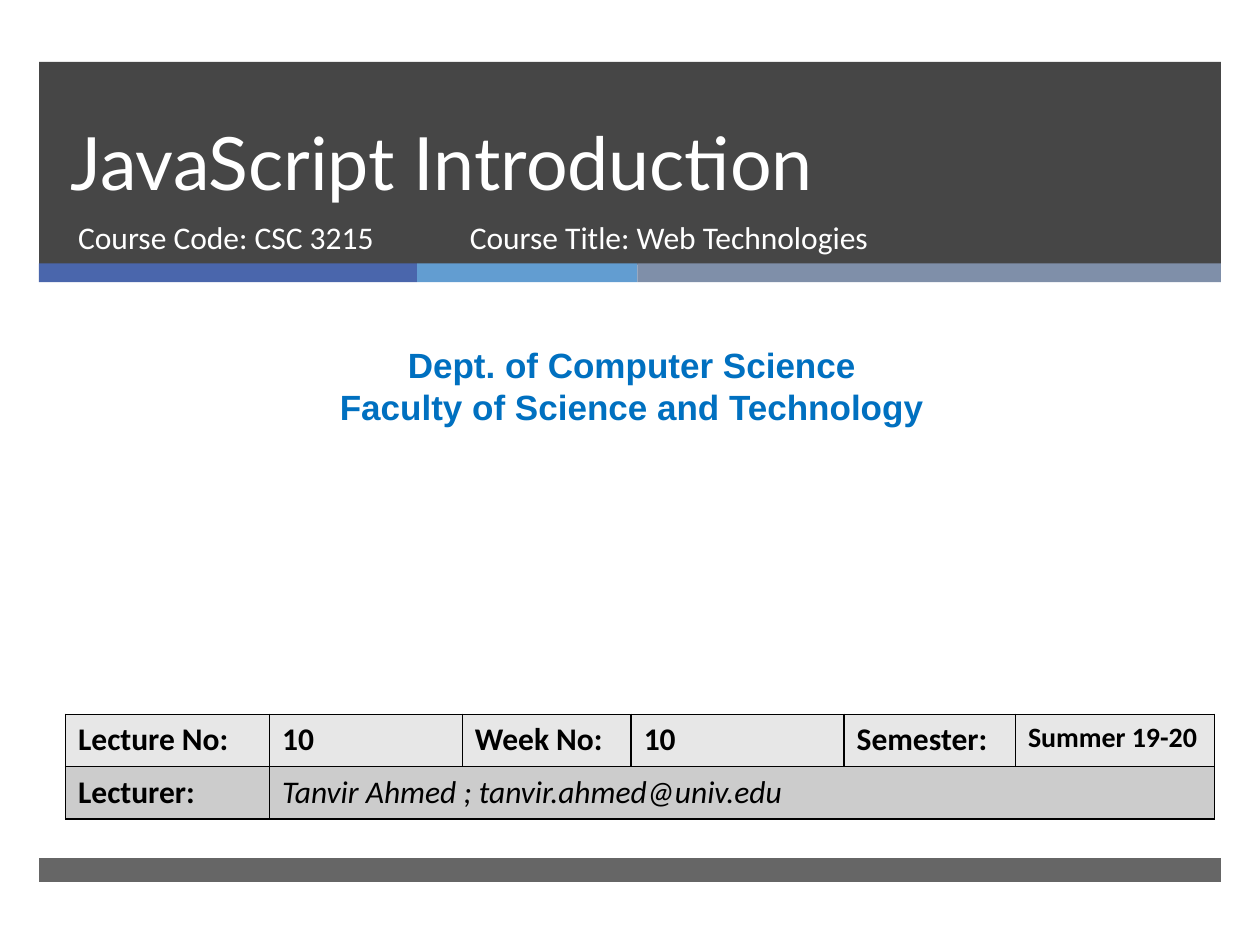
import pptx
import pptx.util
import pptx.dml.color
import pptx.enum.shapes
import pptx.enum.text
import pptx.oxml
import pptx.oxml.ns
from lxml import etree

Inches = pptx.util.Inches
Pt = pptx.util.Pt
ALIGN = pptx.enum.text.PP_ALIGN
ANCHOR = pptx.enum.text.MSO_ANCHOR
qn = pptx.oxml.ns.qn


def color(code):
    return pptx.dml.color.RGBColor.from_string(code)


def style(para, size, face, code, bold=False, italic=False, align=ALIGN.LEFT):
    font = para.font
    font.size = Pt(size)
    font.name = face
    font.bold = bold
    font.italic = italic
    font.color.rgb = color(code)
    para.alignment = align


def place(shape, box):
    shape.left, shape.top, shape.width, shape.height = map(Inches, box)


def write(shape, lines, *look, anchor=ANCHOR.TOP, **more):
    frame = shape.text_frame
    frame.word_wrap = True
    frame.auto_size = pptx.enum.text.MSO_AUTO_SIZE.NONE
    frame.vertical_anchor = anchor
    frame.text = "\n".join(lines)
    for para in frame.paragraphs:
        para.space_before = Pt(0)
        style(para, *look, **more)


def label(slide, box, lines, *look, **more):
    shape = slide.shapes.add_textbox(*map(Inches, box))
    write(shape, lines, *look, **more)


def bar(slide, box, code, alpha=100):
    shape = slide.shapes.add_shape(
        pptx.enum.shapes.MSO_SHAPE.RECTANGLE, *map(Inches, box))
    shape.shadow.inherit = False
    shape.fill.solid()
    shape.fill.fore_color.rgb = color(code)
    shape.line.fill.background()
    if alpha < 100:
        tint = shape.element.spPr.find(qn("a:solidFill"))[0]
        etree.SubElement(tint, qn("a:alpha"), val=str(alpha * 1000))
    slide.shapes.title.element.addprevious(shape.element)


def header(slide, box):
    left, top, width, height = box
    bar(slide, box, "262626", 85)
    edge = left
    for span, code in ((3, "4A66AC"), (1.75, "629DD1"), (4.63, "7F8FA9")):
        bar(slide, (edge, top + height - 0.01, span, 0.15), code)
        edge += span
    title, course = slide.placeholders
    place(title, (left + 0.15, top, 8.54, 1.19))
    write(title, ["JavaScript Introduction"], 42, "Lato", "FFFFFF",
          anchor=ANCHOR.BOTTOM)
    title.text_frame.paragraphs[0].line_spacing = Pt(46)
    line = top + 1.19
    place(course, (left + 0.21, line, 3.05, 0.53))
    look = (18, "Calibri", "FFFFFF")
    write(course, ["Course Code: CSC 3215"], *look)
    label(slide, (left + 3.32, line, 4.55, 0.53),
          ["Course Title: Web Technologies"], *look)


def border(cell):
    props = cell._tc.get_or_add_tcPr()
    for side in ("lnL", "lnR", "lnT", "lnB"):
        line = etree.SubElement(props, qn("a:" + side), w=str(Pt(1)))
        fill = etree.SubElement(line, qn("a:solidFill"))
        etree.SubElement(fill, qn("a:srgbClr"), val="000000")


def details(slide, box):
    rows = (
        ("Lecture No:", "10", "Week No:", "10", "Semester:", "Summer 19-20"),
        ("Lecturer:", "Tanvir Ahmed ; tanvir.ahmed@univ.edu", "", "", "", ""),
    )
    table = slide.shapes.add_table(2, 6, *map(Inches, box)).table
    table.first_row = False
    table.horz_banding = False
    for col, width in zip(table.columns, (1.62, 1.53, 1.34, 1.69, 1.36, 1.58)):
        col.width = Inches(width)
    for r, (row, code) in enumerate(zip(rows, ("E7E7E7", "CCCCCC"))):
        for c, text in enumerate(row):
            cell = table.cell(r, c)
            border(cell)
            cell.fill.solid()
            cell.fill.fore_color.rgb = color(code)
            cell.text = text
            mail = r == 1 and c > 0
            size = 16 if (r, c) == (0, 5) else 18
            style(cell.text_frame.paragraphs[0], size, "Calibri", "000000",
                  bold=not mail, italic=mail)
    table.cell(1, 1).merge(table.cell(1, 5))


def main():
    deck = pptx.Presentation()
    deck.slide_width = Inches(10)
    deck.slide_height = Inches(7.5)
    slide = deck.slides.add_slide(deck.slide_layouts[0])
    header(slide, (0.31, 0.49, 9.38, 1.61))
    bar(slide, (0.31, 6.81, 9.38, 0.19), "262626", 70)
    label(slide, (0.08, 2.68, 9.87, 0.77),
          ["Dept. of Computer Science", "Faculty of Science and Technology"],
          20, "Arial", "0070C0", bold=True, align=ALIGN.CENTER)
    details(slide, (0.52, 5.67, 9.12, 0.83))
    deck.save("out.pptx")


main()
